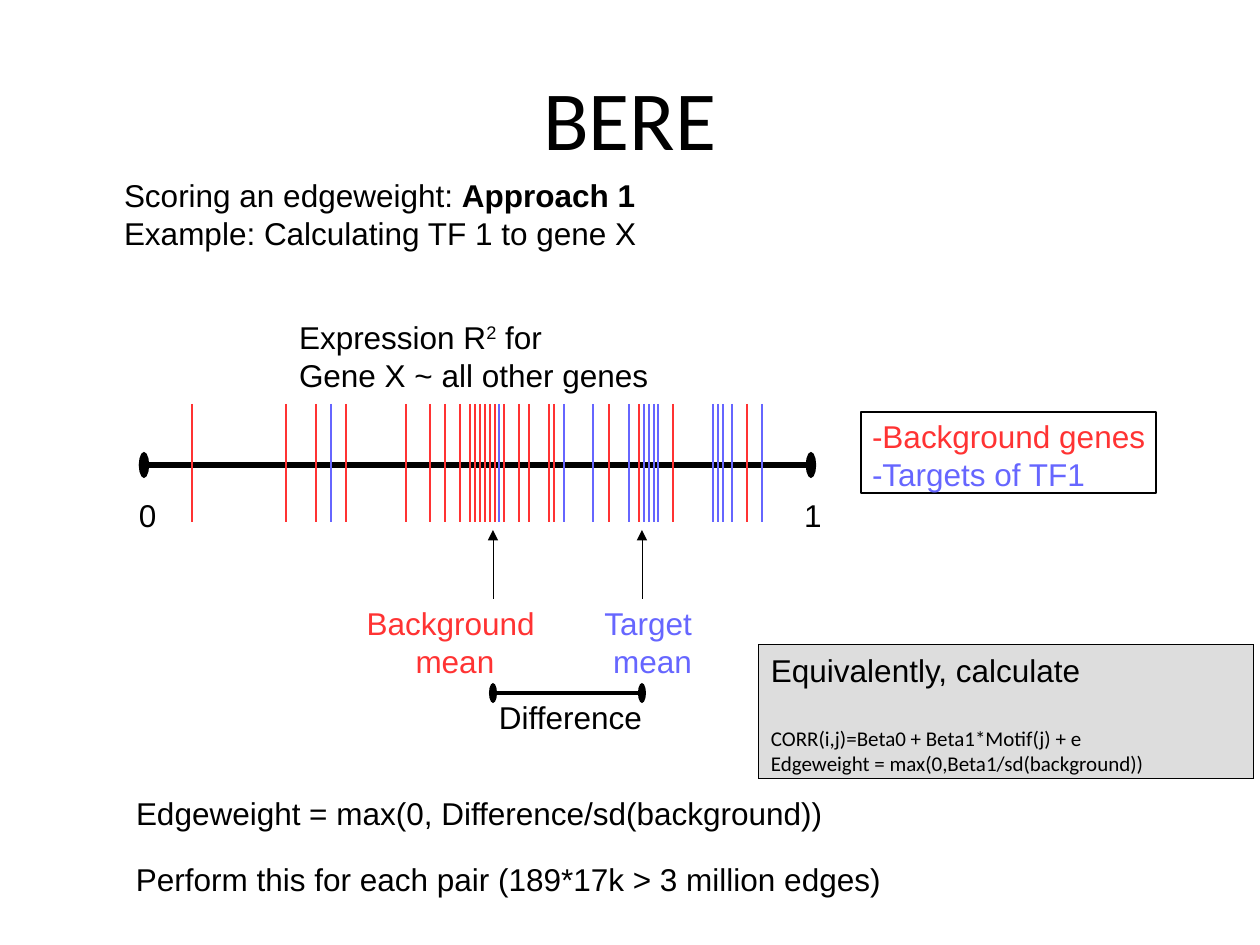
from lxml import etree
from pptx import Presentation
from pptx import util as u
from pptx.dml.color import RGBColor
from pptx.enum import shapes, text
from pptx.oxml.ns import qn

SCALE = 914400 / 126
BLACK = RGBColor(0x00, 0x00, 0x00)
RED = RGBColor(0xFF, 0x33, 0x33)
BLUE = RGBColor(0x66, 0x66, 0xFF)
GREY = RGBColor(0xDD, 0xDD, 0xDD)
CENTER = text.PP_ALIGN.CENTER
LEFT = text.PP_ALIGN.LEFT

OVAL = {"type": "oval", "w": "lg", "len": "sm"}
TRIANGLE = {"type": "triangle"}

TICK_TOP, TICK_BOTTOM = 404, 522
BACKGROUND_TICKS = [192, 286, 316, 346, 406, 430, 445, 460, 470, 475, 480, 485,
                    490, 495, 504, 519, 529, 549, 554, 609, 639, 673, 747]
TARGET_TICKS = [331, 499, 564, 593, 629, 644, 649, 654, 658, 713, 718, 723,
                732, 762]


def px(n):
    return u.Emu(round(n * SCALE))


def set_font(font, size=18, name="Arial", color=BLACK, bold=False):
    for key, value in {"size": u.Pt(size), "name": name, "bold": bold}.items():
        setattr(font, key, value)
    font.color.rgb = color


def add_run(p, content, superscript=False, **fmt):
    r = p.add_run()
    r.text = content
    set_font(r.font, **fmt)
    if superscript:
        r._r.get_or_add_rPr().set("baseline", "33000")


def fill_text(sp, paragraphs, align=LEFT, inset=(12, 6, 12, 6)):
    tf = sp.text_frame
    left, top, right, bottom = map(px, inset)
    frame = {"word_wrap": False, "vertical_anchor": text.MSO_ANCHOR.TOP,
             "auto_size": text.MSO_AUTO_SIZE.SHAPE_TO_FIT_TEXT,
             "margin_left": left, "margin_right": right,
             "margin_top": top, "margin_bottom": bottom}
    for key, value in frame.items():
        setattr(tf, key, value)
    for i, runs in enumerate(paragraphs):
        p = tf.add_paragraph() if i else tf.paragraphs[0]
        p.alignment = align
        for content, fmt in runs:
            add_run(p, content, **fmt)
    return tf


def set_line(line, color, width):
    line.color.rgb = color
    ln = line._get_or_add_ln()
    ln.set("w", str(int(u.Pt(width))))
    return ln


def add_label(s, box, paragraphs, align=LEFT):
    sp = s.shapes.add_textbox(*map(px, box))
    fill_text(sp, paragraphs, align)


def add_panel(s, box, paragraphs, line_width, fill=None, inset=(12, 6, 0, 6)):
    sp = s.shapes.add_shape(shapes.MSO_SHAPE.RECTANGLE, *map(px, box))
    sp.shadow.inherit = False
    if fill is None:
        sp.fill.background()
    else:
        sp.fill.solid()
        sp.fill.fore_color.rgb = fill
    set_line(sp.line, BLACK, line_width)
    return fill_text(sp, paragraphs, inset=inset)


def add_line(s, x1, y1, x2, y2, color=BLACK, width=1, head=None, tail=None):
    sp = s.shapes.add_connector(shapes.MSO_CONNECTOR.STRAIGHT,
                                *map(px, (x1, y1, x2, y2)))
    ln = set_line(sp.line, color, width)
    for tag, end in (("a:headEnd", head), ("a:tailEnd", tail)):
        if end:
            etree.SubElement(ln, qn(tag), end)
    etree.SubElement(sp._element.spPr, qn("a:effectLst"))


def add_title(s, content):
    sp = s.shapes.title
    place = dict(zip(("left", "top", "width", "height"),
                     map(px, (63, 38, 1134, 158))))
    for key, value in place.items():
        setattr(sp, key, value)
    tf = sp.text_frame
    for side in ("left", "right", "top", "bottom"):
        setattr(tf, f"margin_{side}", 0)
    tf.vertical_anchor = text.MSO_ANCHOR.MIDDLE
    p = tf.paragraphs[0]
    p.alignment = CENTER
    add_run(p, content, size=48, name="Calibri")


def add_scale(s):
    add_line(s, 144, 465, 811, 465, width=3, head=OVAL, tail=OVAL)
    for x, end in ((127, "0"), (792, "1")):
        add_label(s, (x, 490, 43, 48), [[(end, {})]])
    for ticks, color in ((BACKGROUND_TICKS, RED), (TARGET_TICKS, BLUE)):
        for x in ticks:
            add_line(s, x, TICK_TOP, x, TICK_BOTTOM, color)


def add_means(s):
    for x, box, name, color in (
            (493, (354, 598, 202, 83), "Background ", RED),
            (642, (592, 598, 121, 83), "Target ", BLUE)):
        add_line(s, x, 599, x, 530, width=0, tail=TRIANGLE)
        add_label(s, box, [[(name, {"color": color})],
                           [("mean", {"color": color})]], CENTER)
    add_line(s, 493, 693, 642, 693, width=2.3, head=OVAL, tail=OVAL)
    add_label(s, (487, 692, 168, 48), [[("Difference", {})]])


def main():
    prs = Presentation()
    prs.slide_width, prs.slide_height = px(1260), px(945)
    s = prs.slides.add_slide(prs.slide_layouts[5])
    add_title(s, "BERE")
    add_label(s, (112, 170, 537, 83), [
        [("Scoring an edgeweight: ", {}), ("Approach 1", {"bold": True})],
        [("Example: Calculating TF 1 to gene X", {})]])
    add_label(s, (287, 312, 374, 83), [
        [("Expression R", {}), ("2", {"superscript": True}), (" for", {})],
        [("Gene X ~ all other genes", {})]])
    add_scale(s)
    add_panel(s, (861, 412, 295, 81), [
        [("-Background genes", {"color": RED})],
        [("-Targets of TF1", {"color": BLUE})]], 1.5, inset=(11, 5, 0, 5))
    add_means(s)
    add_label(s, (124, 788, 712, 48),
              [[("Edgeweight = max(0, Difference/sd(background))", {})]])
    formula = {"size": 12, "name": "Calibri"}
    tf = add_panel(s, (759, 645, 495, 134), [
        [("Equivalently, calculate", {})],
        [("CORR(i,j)=Beta0 + Beta1*Motif(j) + e", formula)],
        [("Edgeweight = max(0,Beta1/sd(background))", formula)]], 0, GREY)
    tf.paragraphs[1].space_before = u.Pt(21)
    add_label(s, (124, 854, 770, 48),
              [[("Perform this for each pair (189*17k > 3 million edges)", {})]])
    prs.save("out.pptx")


if __name__ == "__main__":
    main()
